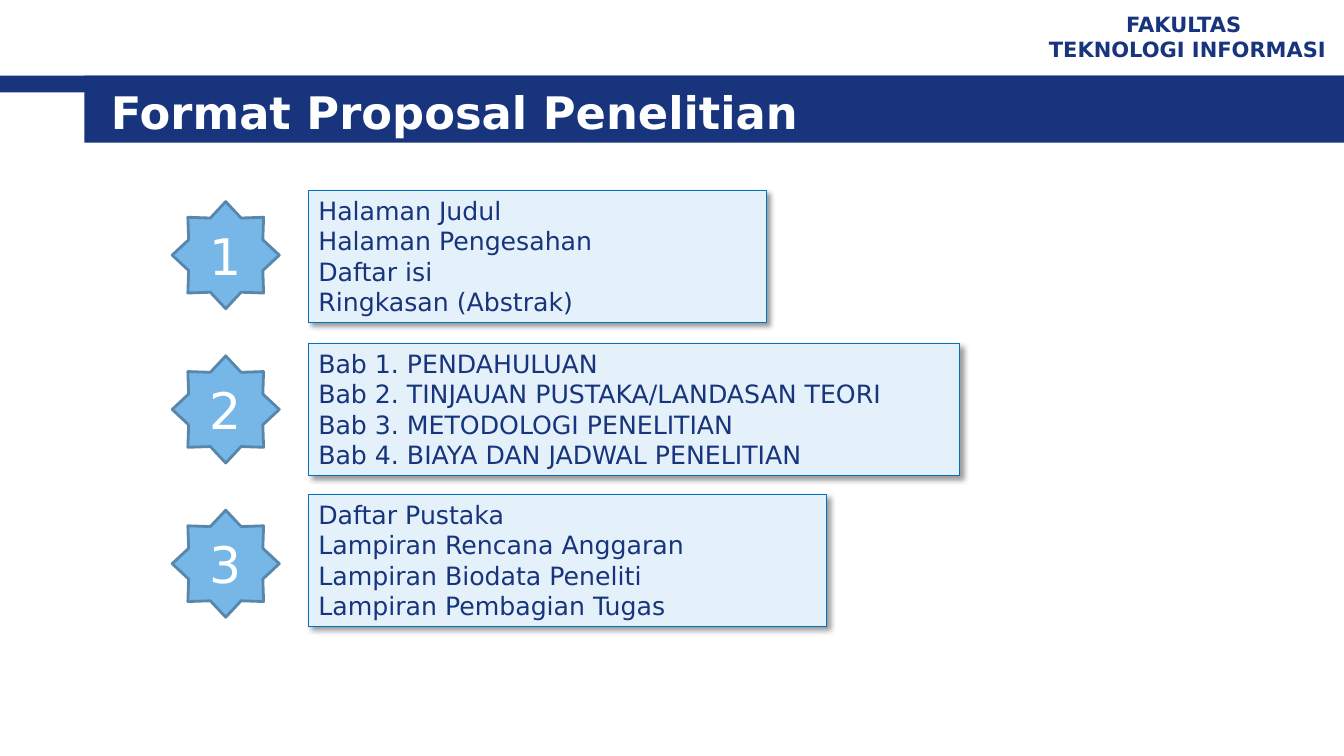
from dataclasses import dataclass
from typing import Any

from lxml import etree
from pptx import Presentation
from pptx.dml.color import RGBColor
from pptx.enum.shapes import MSO_SHAPE
from pptx.enum.text import MSO_ANCHOR, MSO_AUTO_SIZE, PP_ALIGN
from pptx.oxml.ns import qn
from pptx.util import Pt

RECTANGLE = MSO_SHAPE.RECTANGLE
STAR = MSO_SHAPE.STAR_8_POINT
TOP, MIDDLE = MSO_ANCHOR.TOP, MSO_ANCHOR.MIDDLE
LEFT, CENTER = PP_ALIGN.LEFT, PP_ALIGN.CENTER
GROW = MSO_AUTO_SIZE.SHAPE_TO_FIT_TEXT
NO_FIT = MSO_AUTO_SIZE.NONE

NAVY = RGBColor(0x17, 0x34, 0x7D)
WHITE = RGBColor(0xFF, 0xFF, 0xFF)
PALE_BLUE = RGBColor(0xE4, 0xF1, 0xFA)
BORDER_BLUE = RGBColor(0x00, 0x70, 0xC0)
STAR_BLUE = RGBColor(0x77, 0xB7, 0xE7)
STAR_EDGE = RGBColor(0x58, 0x87, 0xAB)

FONT = "DejaVu Sans"
FACULTY_FONT = {"name": FONT, "size": Pt(15), "bold": True}
TITLE_FONT = {"name": FONT, "size": Pt(32), "bold": True}
SECTION_FONT = {"name": FONT, "size": Pt(18), "bold": False}
NUMBER_FONT = {"name": FONT, "size": Pt(36), "bold": False}

STAR_LEFT, STAR_TOP, STAR_SIZE, STAR_PITCH = 123, 144, 76.5, 110.2
SECTION_LEFT, SECTION_HEIGHT = 220.3, 94.5


@dataclass(frozen=True)
class Box:
    left: float
    top: float
    width: float
    height: float

    def lengths(self) -> tuple[Pt, Pt, Pt, Pt]:
        return Pt(self.left), Pt(self.top), Pt(self.width), Pt(self.height)


@dataclass(frozen=True)
class Section:
    top: float
    width: float
    lines: tuple[str, ...]


HEADER_BARS = (Box(0, 54, 960, 12), Box(60.3, 54, 899.7, 48))
SECTIONS = (
    Section(136, 327.5, (
        "Halaman Judul",
        "Halaman Pengesahan",
        "Daftar isi",
        "Ringkasan (Abstrak)",
    )),
    Section(245.3, 465, (
        "Bab 1. PENDAHULUAN",
        "Bab 2. TINJAUAN PUSTAKA/LANDASAN TEORI",
        "Bab 3. METODOLOGI PENELITIAN",
        "Bab 4. BIAYA DAN JADWAL PENELITIAN",
    )),
    Section(353.3, 370, (
        "Daftar Pustaka",
        "Lampiran Rencana Anggaran",
        "Lampiran Biodata Peneliti",
        "Lampiran Pembagian Tugas",
    )),
)


def write(shape: Any, lines: tuple[str, ...], font: dict[str, Any],
          color: RGBColor, align: PP_ALIGN, anchor: MSO_ANCHOR,
          fit: MSO_AUTO_SIZE = NO_FIT) -> None:
    frame = shape.text_frame
    frame.text = "\n".join(lines)
    frame.word_wrap = True
    frame.auto_size = fit
    frame.vertical_anchor = anchor
    for paragraph in frame.paragraphs:
        paragraph.alignment = align
        for key, value in font.items():
            setattr(paragraph.font, key, value)
        paragraph.font.color.rgb = color


def draw(slide: Any, kind: MSO_SHAPE, box: Box, fill: RGBColor,
         edge: RGBColor | None = None, edge_width: float = 0) -> Any:
    shape = slide.shapes.add_shape(kind, *box.lengths())
    shape.shadow.inherit = False
    shape.fill.solid()
    shape.fill.fore_color.rgb = fill
    if edge is None:
        shape.line.fill.background()
    else:
        shape.line.color.rgb = edge
        shape.line.width = Pt(edge_width)
    return shape


def cast_shadow(shape: Any) -> None:
    effects = shape._element.spPr.find(qn("a:effectLst"))
    shadow = etree.SubElement(effects, qn("a:outerShdw"), {
        "blurRad": str(Pt(4)), "dist": str(Pt(3)), "dir": "2700000",
        "algn": "tl", "rotWithShape": "0",
    })
    color = etree.SubElement(shadow, qn("a:srgbClr"), val="000000")
    etree.SubElement(color, qn("a:alpha"), val="40000")


def add_header(slide: Any) -> None:
    for bar in HEADER_BARS:
        draw(slide, RECTANGLE, bar, NAVY)
    faculty = slide.shapes.add_textbox(*Box(736.6, 3.6, 223.2, 44.6).lengths())
    write(faculty, ("FAKULTAS ", "TEKNOLOGI INFORMASI"),
          FACULTY_FONT, NAVY, CENTER, MIDDLE)
    title = slide.shapes.title
    title.left, title.top, title.width, title.height = Box(
        72, 57.6, 856, 44.6).lengths()
    write(title, ("Format Proposal Penelitian",),
          TITLE_FONT, WHITE, LEFT, MIDDLE)
    slide.shapes._spTree.append(title._element)


def add_section(slide: Any, section: Section) -> None:
    box = Box(SECTION_LEFT, section.top, section.width, SECTION_HEIGHT)
    panel = draw(slide, RECTANGLE, box, PALE_BLUE, BORDER_BLUE, 0.75)
    cast_shadow(panel)
    write(panel, section.lines, SECTION_FONT, NAVY, LEFT, TOP, GROW)


def add_number(slide: Any, index: int) -> None:
    box = Box(STAR_LEFT, STAR_TOP + index * STAR_PITCH, STAR_SIZE, STAR_SIZE)
    star = draw(slide, STAR, box, STAR_BLUE, STAR_EDGE, 2)
    write(star, (str(index + 1),), NUMBER_FONT, WHITE, CENTER, MIDDLE)


def main() -> None:
    deck = Presentation()
    deck.slide_width, deck.slide_height = Pt(960), Pt(540)
    slide = deck.slides.add_slide(deck.slide_layouts.get_by_name("Title Only"))
    add_header(slide)
    for section in SECTIONS:
        add_section(slide, section)
    for index in range(len(SECTIONS)):
        add_number(slide, index)
    deck.save("out.pptx")


if __name__ == "__main__":
    main()
